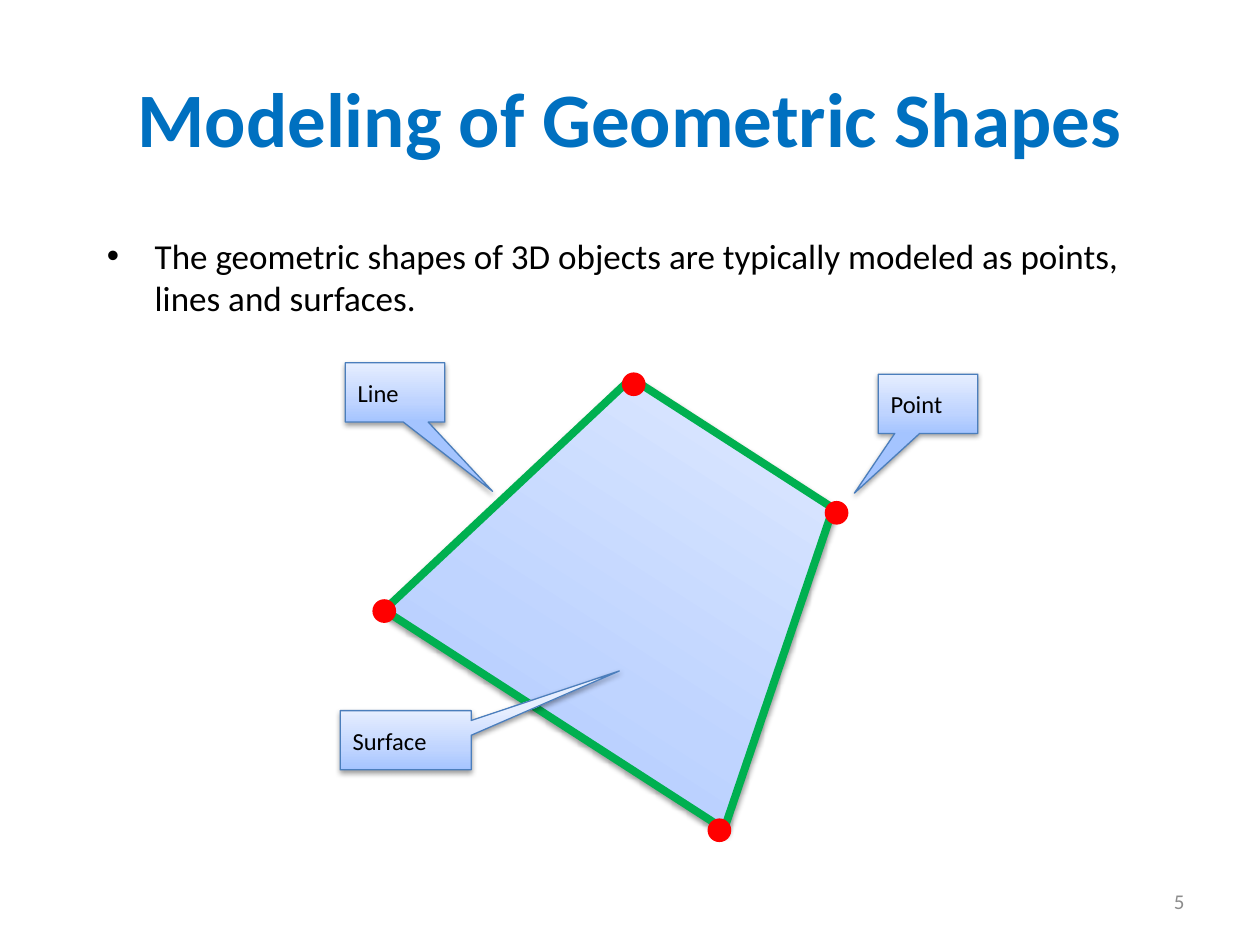
import pptx
import pptx.util
from dataclasses import dataclass
from lxml import etree
from pptx.dml.color import RGBColor
from pptx.enum.shapes import MSO_SHAPE
from pptx.enum.text import MSO_ANCHOR, PP_ALIGN
from pptx.oxml import parse_xml
from pptx.oxml.ns import nsdecls, qn
from pptx.util import Inches, Pt


@dataclass(frozen=True)
class Theme:
    font: str = "Calibri"
    title: str = "0070C0"
    text: str = "000000"
    muted: str = "8C8C8C"
    edge: str = "00B050"
    vertex: str = "FF0000"
    outline: str = "4B7EBC"
    shadow: str = "000000"
    gradient: tuple = ((0, "A4C4FF"), (35, "BFD4FF"), (100, "E6EEFF"))
    title_size: int = 44
    body_size: int = 20
    label_size: int = 14
    number_size: int = 12


T = Theme()


def write(sp, text, size, color=T.text, bold=False, align=PP_ALIGN.LEFT,
          anchor=MSO_ANCHOR.MIDDLE):
    tf = sp.text_frame
    tf.word_wrap = True
    tf.vertical_anchor = anchor
    p = tf.paragraphs[0]
    p.alignment = align
    r = p.add_run()
    r.text = text
    r.font.name = T.font
    r.font.size = Pt(size)
    r.font.bold = bold
    r.font.color.rgb = RGBColor.from_string(color)
    return p


def add_text(s, box, text, size, **fmt):
    sp = s.shapes.add_textbox(*map(Inches, box))
    return write(sp, text, size, **fmt)


def add_outlined(s, kind, box, line, width):
    sp = s.shapes.add_shape(kind, *map(Inches, box))
    sp.shadow.inherit = False
    sp.line.color.rgb = RGBColor.from_string(line)
    sp.line.width = Pt(width)
    return sp


def shade(sp):
    """Give a shape the pale blue gradient and a soft shadow below it."""
    sp.fill.gradient()
    sp.fill.gradient_angle = 90
    stops = sp._element.spPr.find(".//" + qn("a:gsLst"))
    for stop in list(stops):
        stops.remove(stop)
    for pos, color in T.gradient:
        gs = etree.SubElement(stops, qn("a:gs"), pos=str(pos * 1000))
        etree.SubElement(gs, qn("a:srgbClr"), val=color)
    effects = sp._element.spPr.find(qn("a:effectLst"))
    effects.append(parse_xml(
        f'<a:outerShdw {nsdecls("a")} blurRad="{Pt(3.1)}" dist="{Pt(1.6)}" '
        f'dir="5400000" rotWithShape="0"><a:srgbClr val="{T.shadow}">'
        '<a:alpha val="38000"/></a:srgbClr></a:outerShdw>'))


def add_bullet(s, box, text):
    p = add_text(s, box, text, T.body_size, anchor=MSO_ANCHOR.TOP)
    p.space_before = Pt(T.body_size * 0.2)
    pPr = p._p.get_or_add_pPr()
    pPr.set("marL", str(Inches(0.38)))
    pPr.set("indent", str(Inches(-0.38)))
    etree.SubElement(pPr, qn("a:buFont"), typeface="Arial")
    etree.SubElement(pPr, qn("a:buChar"), char="•")


def add_surface(s, box, rotation):
    sp = add_outlined(s, MSO_SHAPE.TRAPEZOID, box, T.edge, 4.5)
    sp.rotation = rotation
    shade(sp)


def add_vertex(s, cx, cy, size=0.16):
    box = (cx - size / 2, cy - size / 2, size, size)
    sp = add_outlined(s, MSO_SHAPE.OVAL, box, T.vertex, 2)
    sp.fill.solid()
    sp.fill.fore_color.rgb = RGBColor.from_string(T.vertex)


def add_callout(s, box, text, tip):
    sp = add_outlined(s, MSO_SHAPE.RECTANGULAR_CALLOUT, box, T.outline, 0.75)
    sp.adjustments[0], sp.adjustments[1] = tip
    shade(sp)
    write(sp, text, T.label_size)


def add_diagram(s, box):
    """Quadrilateral with its corners and callouts, offset from the box."""
    x, y, w, h = box
    add_surface(s, (x + 0.8, y + 0.43, 3.21, 2.61), 32.8)
    # Corner points
    for dx, dy in ((2.33, 0.17), (3.94, 1.19), (3.01, 3.71), (0.35, 1.97)):
        add_vertex(s, x + dx, y + dy)
    # Callouts; each tip is a fraction of the callout's size from its centre
    for text, dx, dy, width, tip in (
            ("Point", 4.27, 0.09, 0.79, (-0.74, 1.51)),
            ("Line", 0.04, 0, 0.79, (0.98, 1.67)),
            ("Surface", 0, 2.76, 1.04, (1.63, -1.17))):
        add_callout(s, (x + dx, y + dy, width, 0.47), text, tip)


def main():
    prs = pptx.Presentation()
    prs.slide_width, prs.slide_height = Inches(10), Inches(7.5)
    s = prs.slides.add_slide(prs.slide_layouts[6])

    # Title and slide number
    add_text(s, (0.5, 0.3, 9, 1.25), "Modeling of Geometric Shapes",
             T.title_size, color=T.title, bold=True, align=PP_ALIGN.CENTER)
    add_text(s, (7.17, 6.95, 2.33, 0.4), "5", T.number_size,
             color=T.muted, align=PP_ALIGN.RIGHT)

    # Body
    add_bullet(s, (0.75, 1.81, 8.5, 2.64),
               "The geometric shapes of 3D objects are typically modeled "
               "as points, lines and surfaces.")
    add_diagram(s, (2.7, 2.88, 5.06, 3.79))

    prs.save("out.pptx")


if __name__ == "__main__":
    main()
